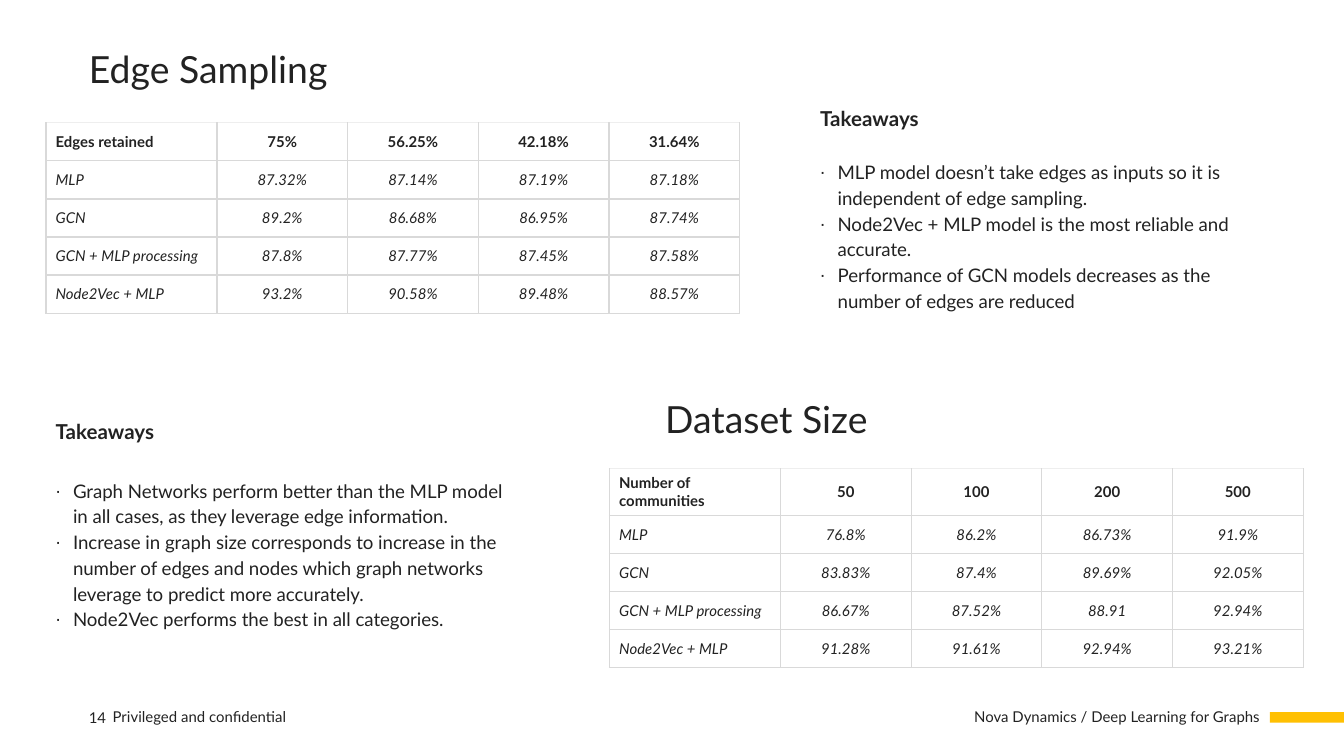
from lxml.etree import SubElement
from pptx import Presentation
from pptx.dml.color import RGBColor
from pptx.enum.shapes import MSO_SHAPE
from pptx.enum.text import MSO_ANCHOR, MSO_AUTO_SIZE, PP_ALIGN
from pptx.oxml.ns import qn
from pptx.util import Cm, Pt

COLORS = {"ink": "222222", "grid": "D9D9D9", "grid_top": "EEEEEE", "accent": "FFC002"}
FONT = "Lato"

# Content: positions are in centimetres
MODELS = ["MLP", "GCN", "GCN + MLP processing", "Node2Vec + MLP"]
SECTIONS = [
    {
        "title": "Edge Sampling",
        "title_box": (1.68, 0.89, 22.07, 0.81),
        "table_at": (0.87, 2.32),
        "header": ["Edges retained", "75%", "56.25%", "42.18%", "31.64%"],
        "scores": [
            ["87.32%", "87.14%", "87.19%", "87.18%"],
            ["89.2%", "86.68%", "86.95%", "87.74%"],
            ["87.8%", "87.77%", "87.45%", "87.58%"],
            ["93.2%", "90.58%", "89.48%", "88.57%"],
        ],
        "heading_box": (15.32, 1.9, 8.53, 0.66),
        "takeaways_box": (15.32, 2.8, 8.94, 3.58),
        "takeaways": [
            "MLP model doesn’t take edges as inputs so it is independent of edge sampling.",
            "Node2Vec + MLP model is the most reliable and accurate.",
            "Performance of GCN models decreases as the number of edges are reduced",
        ],
    },
    {
        "title": "Dataset Size",
        "title_box": (12.57, 7.5, 12.0, 0.81),
        "table_at": (11.52, 8.86),
        "header": ["Number of communities", "50", "100", "200", "500"],
        "scores": [
            ["76.8%", "86.2%", "86.73%", "91.9%"],
            ["83.83%", "87.4%", "89.69%", "92.05%"],
            ["86.67%", "87.52%", "88.91", "92.94%"],
            ["91.28%", "91.61%", "92.94%", "93.21%"],
        ],
        "heading_box": (0.87, 7.82, 8.53, 0.66),
        "takeaways_box": (0.87, 8.82, 8.94, 5.03),
        "takeaways": [
            "Graph Networks perform better than the MLP model in all cases, "
            "as they leverage edge information.",
            "Increase in graph size corresponds to increase in the number of edges and nodes "
            "which graph networks leverage to predict more accurately.",
            "Node2Vec performs the best in all categories.",
        ],
    },
]
FOOTERS = [  # text, box, insets, alignment, anchor
    ("Nova Dynamics / Deep Learning for Graphs", (13.97, 13.13, 10.1, 0.94),
     (0.25,) * 4, PP_ALIGN.RIGHT, MSO_ANCHOR.TOP),
    ("Privileged and confidential", (1.88, 13.13, 10.1, 0.81),
     (0.25,) * 4, PP_ALIGN.LEFT, MSO_ANCHOR.TOP),
    ("14", (1.68, 13.33, 1.35, 0.48), (0,) * 4, PP_ALIGN.LEFT, MSO_ANCHOR.MIDDLE),
]
ACCENT_BAR = (24.0, 13.46, 1.4, 0.2)
LABEL_WIDTH, SCORE_WIDTH, ROW_HEIGHT = 3.23, 2.47, 0.72
TITLE_INSETS = (0, 0.25, 0.25, 0.25)
CELL_INSETS = (0.18, 0.1, 0.18, 0.1)
LIST_INSETS = (0.18,) * 4
BULLET_INDENT = Cm(0.33)


def rgb(name):
    return RGBColor.from_string(COLORS[name])


def set_insets(target, insets):
    (target.margin_left, target.margin_top,
     target.margin_right, target.margin_bottom) = map(Cm, insets)


def style(paragraph, size, align=PP_ALIGN.LEFT, bold=False, italic=False):
    paragraph.alignment = align
    for run in paragraph.runs:
        font = run.font
        font.name, font.size, font.bold, font.italic = FONT, Pt(size), bold, italic
        font.color.rgb = rgb("ink")


def write(shape, box, lines, size, insets, align=PP_ALIGN.LEFT,
          anchor=MSO_ANCHOR.TOP, bold=False, bullet=None, spacing=1.0):
    shape.left, shape.top, shape.width, shape.height = map(Cm, box)
    frame = shape.text_frame
    frame.text = "\n".join(lines)
    frame.word_wrap, frame.auto_size = True, MSO_AUTO_SIZE.NONE
    frame.vertical_anchor = anchor
    set_insets(frame, insets)
    for paragraph in frame.paragraphs:
        properties = paragraph._p.get_or_add_pPr()
        indent = BULLET_INDENT if bullet else 0
        properties.set("marL", str(indent))
        properties.set("indent", str(-indent))
        if bullet:
            SubElement(properties, qn("a:buChar"), char=bullet)
        else:
            SubElement(properties, qn("a:buNone"))
        paragraph.space_before = Pt(0)
        paragraph.line_spacing = spacing
        style(paragraph, size, align, bold)


def add_borders(cell, top):
    properties = cell._tc.get_or_add_tcPr()
    for side in ("L", "R", "T", "B"):
        line = SubElement(properties, qn(f"a:ln{side}"), w=str(Pt(0.75)))
        fill = SubElement(line, qn("a:solidFill"))
        SubElement(fill, qn("a:srgbClr"), val=COLORS[top if side == "T" else "grid"])


def add_scores(slide, section):
    rows = [section["header"]]
    rows += [[model, *scores] for model, scores in zip(MODELS, section["scores"])]
    widths = [LABEL_WIDTH] + [SCORE_WIDTH] * (len(rows[0]) - 1)
    left, top = section["table_at"]
    table = slide.shapes.add_table(
        len(rows), len(widths), Cm(left), Cm(top),
        Cm(sum(widths)), Cm(ROW_HEIGHT * len(rows))).table
    table.first_row = table.horz_banding = False
    for column, width in zip(table.columns, widths):
        column.width = Cm(width)
    for r, row in enumerate(rows):
        table.rows[r].height = Cm(ROW_HEIGHT)
        for c, text in enumerate(row):
            cell = table.cell(r, c)
            cell.text_frame.text = text
            cell.vertical_anchor = MSO_ANCHOR.MIDDLE
            set_insets(cell, CELL_INSETS)
            style(cell.text_frame.paragraphs[0], 8,
                  PP_ALIGN.CENTER if c else PP_ALIGN.LEFT, bold=r == 0, italic=r > 0)
            add_borders(cell, "grid" if r else "grid_top")
            cell.fill.background()


def add_text_box(slide):
    return slide.shapes.add_textbox(0, 0, 0, 0)


def main():
    presentation = Presentation()
    presentation.slide_width, presentation.slide_height = Cm(25.4), Cm(14.29)
    # The comparison layout has a title and two heading and list pairs
    slide = presentation.slides.add_slide(presentation.slide_layouts[4])
    title, *bodies = slide.placeholders

    # Footer
    bar = slide.shapes.add_shape(MSO_SHAPE.RECTANGLE, *map(Cm, ACCENT_BAR))
    bar.shadow.inherit = False
    bar.fill.solid()
    bar.fill.fore_color.rgb = rgb("accent")
    bar.line.fill.background()
    for text, box, insets, align, anchor in FOOTERS:
        write(add_text_box(slide), box, [text], 8, insets, align, anchor)

    # Sections: title, scores and takeaways
    titles = [title, add_text_box(slide)]
    for section, name, heading, takeaways in zip(SECTIONS, titles, bodies[::2], bodies[1::2]):
        write(name, section["title_box"], [section["title"]], 20, TITLE_INSETS,
              anchor=MSO_ANCHOR.MIDDLE)
        add_scores(slide, section)
        write(heading, section["heading_box"], ["Takeaways"], 11, CELL_INSETS, bold=True)
        write(takeaways, section["takeaways_box"], section["takeaways"], 10, LIST_INSETS,
              bullet="∙", spacing=1.15)

    presentation.save("out.pptx")


if __name__ == "__main__":
    main()
